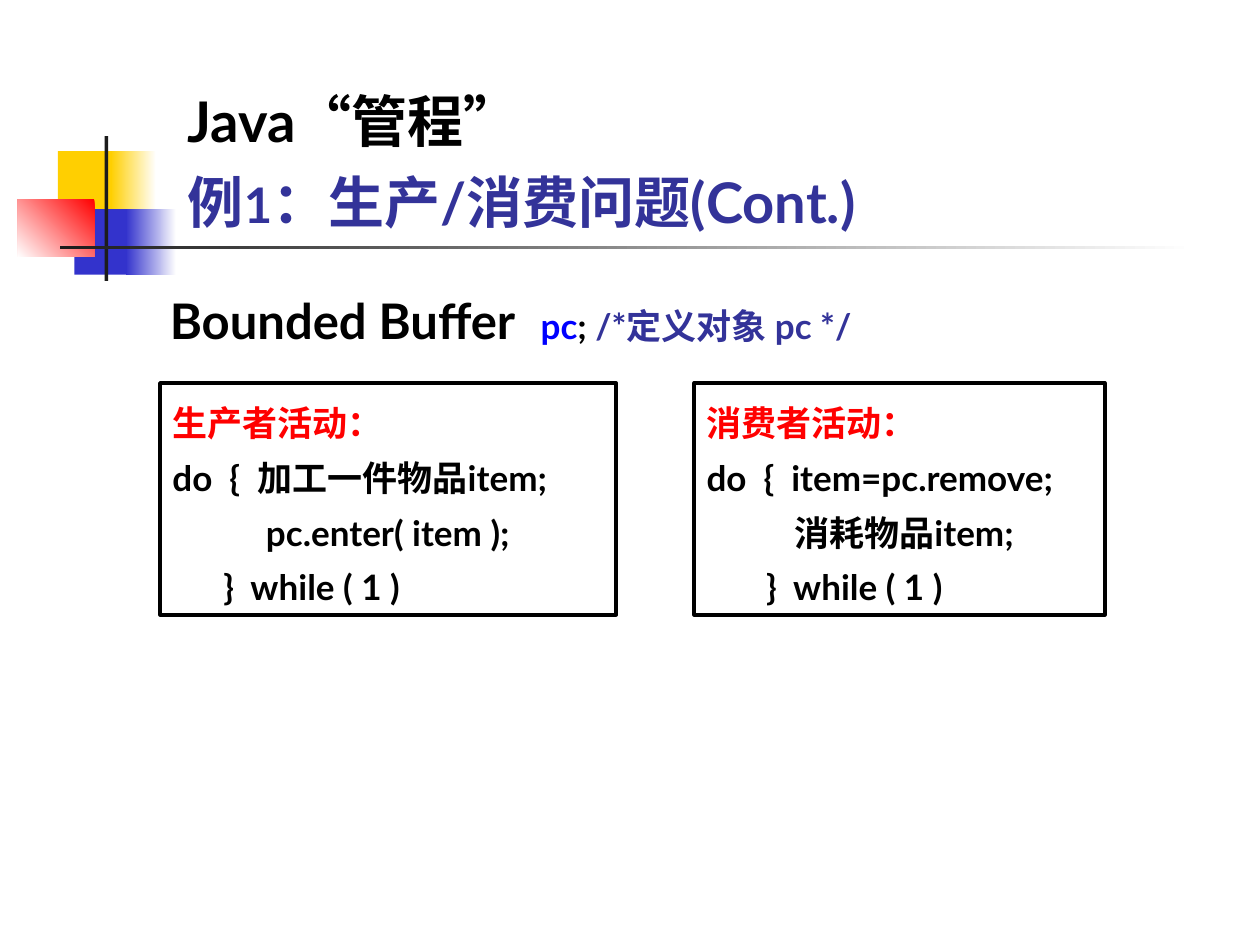
from pptx import Presentation
from pptx.dml.color import RGBColor
from pptx.enum.shapes import MSO_SHAPE
from pptx.enum.text import MSO_ANCHOR, MSO_AUTO_SIZE, PP_ALIGN
from pptx.util import Inches, Pt

RECTANGLE = MSO_SHAPE.RECTANGLE
TOP, BOTTOM = MSO_ANCHOR.TOP, MSO_ANCHOR.BOTTOM
FIT_SHAPE, NO_FIT = MSO_AUTO_SIZE.SHAPE_TO_FIT_TEXT, MSO_AUTO_SIZE.NONE
LEFT = PP_ALIGN.LEFT

BLACK = RGBColor(0x00, 0x00, 0x00)
WHITE = RGBColor(0xFF, 0xFF, 0xFF)
YELLOW = RGBColor(0xFF, 0xCF, 0x01)
BLUE = RGBColor(0x33, 0x33, 0xCC)
RED = RGBColor(0xFF, 0x00, 0x00)
CHARCOAL = RGBColor(0x1C, 0x1C, 0x1C)
INDIGO = RGBColor(0x33, 0x33, 0x99)
PURE_BLUE = RGBColor(0x00, 0x00, 0xFF)

COLUMNS, ROWS = 100, 75


class SlideBuilder:
    """Draws styled elements on a 100 by 75 grid over one slide."""

    font = "Lato"

    def __init__(self, deck):
        self.column = deck.slide_width / COLUMNS
        self.row = deck.slide_height / ROWS
        self.slide = deck.slides.add_slide(deck.slide_layouts[5])

    def area(self, left, top, width, height):
        return (round(left * self.column), round(top * self.row),
                round(width * self.column), round(height * self.row))

    def rectangle(self, area):
        shape = self.slide.shapes.add_shape(RECTANGLE, *self.area(*area))
        shape.shadow.inherit = False
        return shape

    def block(self, area, color):
        shape = self.rectangle(area)
        shape.line.fill.background()
        shape.fill.solid()
        shape.fill.fore_color.rgb = color

    def fade(self, area, start, end, angle=180):
        shape = self.rectangle(area)
        shape.line.fill.background()
        shape.fill.gradient()
        shape.fill.gradient_angle = angle
        for stop, color in zip(shape.fill.gradient_stops, (start, end)):
            stop.color.rgb = color

    def add_lines(self, frame, lines, spacing):
        for index, line in enumerate(lines):
            paragraph = frame.add_paragraph() if index else frame.paragraphs[0]
            paragraph.alignment = LEFT
            paragraph.line_spacing = spacing
            for words, size, color in line:
                if words == "\n":
                    paragraph.add_line_break()
                    continue
                run = paragraph.add_run()
                run.text = words
                run.font.name = self.font
                run.font.size = Pt(size)
                run.font.bold = True
                run.font.color.rgb = color

    def title(self, area, line):
        title = self.slide.shapes.title
        title.left, title.top, title.width, title.height = self.area(*area)
        frame = title.text_frame
        frame.margin_left = frame.margin_right = 0
        frame.margin_top = frame.margin_bottom = 0
        frame.vertical_anchor = BOTTOM
        frame.word_wrap = True
        frame.auto_size = NO_FIT
        self.add_lines(frame, [line], 1.2)

    def fitted_text(self, shape, lines, spacing):
        frame = shape.text_frame
        frame.vertical_anchor = TOP
        frame.word_wrap = False
        frame.auto_size = FIT_SHAPE
        self.add_lines(frame, lines, spacing)

    def declaration(self, area, line):
        box = self.slide.shapes.add_textbox(*self.area(*area))
        self.fitted_text(box, [line], 1.1)

    def activity(self, area, heading, code):
        box = self.rectangle(area)
        box.fill.background()
        box.line.color.rgb = BLACK
        box.line.width = Pt(2)
        lines = [[(heading, 20, RED)]] + [[(step, 20, BLACK)] for step in code]
        self.fitted_text(box, lines, 1.3)


def main():
    """Build the producer and consumer slide."""
    deck = Presentation()
    deck.slide_width, deck.slide_height = Inches(10), Inches(7.5)
    page = SlideBuilder(deck)

    page.block((4.6, 12, 4.8, 5.2), YELLOW)
    page.fade((8.8, 12, 3.6, 5.2), WHITE, YELLOW)
    page.block((5.9, 16.6, 4.6, 5.2), BLUE)
    page.fade((10, 16.6, 4, 5.2), WHITE, BLUE)
    page.fade((1.4, 15.8, 6.1, 4.6), RED, WHITE, angle=225)
    page.block((8.3, 10.8, 0.3, 11.5), CHARCOAL)
    page.fade((4.8, 19.5, 90, 0.3), WHITE, CHARCOAL)

    page.title((14.9, -0.6, 57.9, 19.2), [
        ("Java“管程”", 32, BLACK),
        ("\n", 32, BLACK),
        ("例", 32, INDIGO),
        ("1", 28, INDIGO),
        ("：生产/消费问题(Cont.)", 32, INDIGO),
    ])
    page.activity((12.7, 30.4, 36.2, 18.4), "生产者活动：", [
        "do  {  加工一件物品item;",
        "           pc.enter( item );",
        "      }  while ( 1 )",
    ])
    page.activity((55.1, 30.4, 32.6, 18.4), "消费者活动：", [
        "do  {  item=pc.remove;",
        "           消耗物品item;",
        "       }  while ( 1 )",
    ])
    page.declaration((12.5, 22.1, 60.7, 6.2), [
        ("Bounded Buffer", 28, BLACK),
        ("   ", 20, BLACK),
        ("pc", 20, PURE_BLUE),
        ("; ", 20, BLACK),
        ("/*定义对象 pc */", 20, INDIGO),
    ])
    deck.save("out.pptx")


if __name__ == "__main__":
    main()
